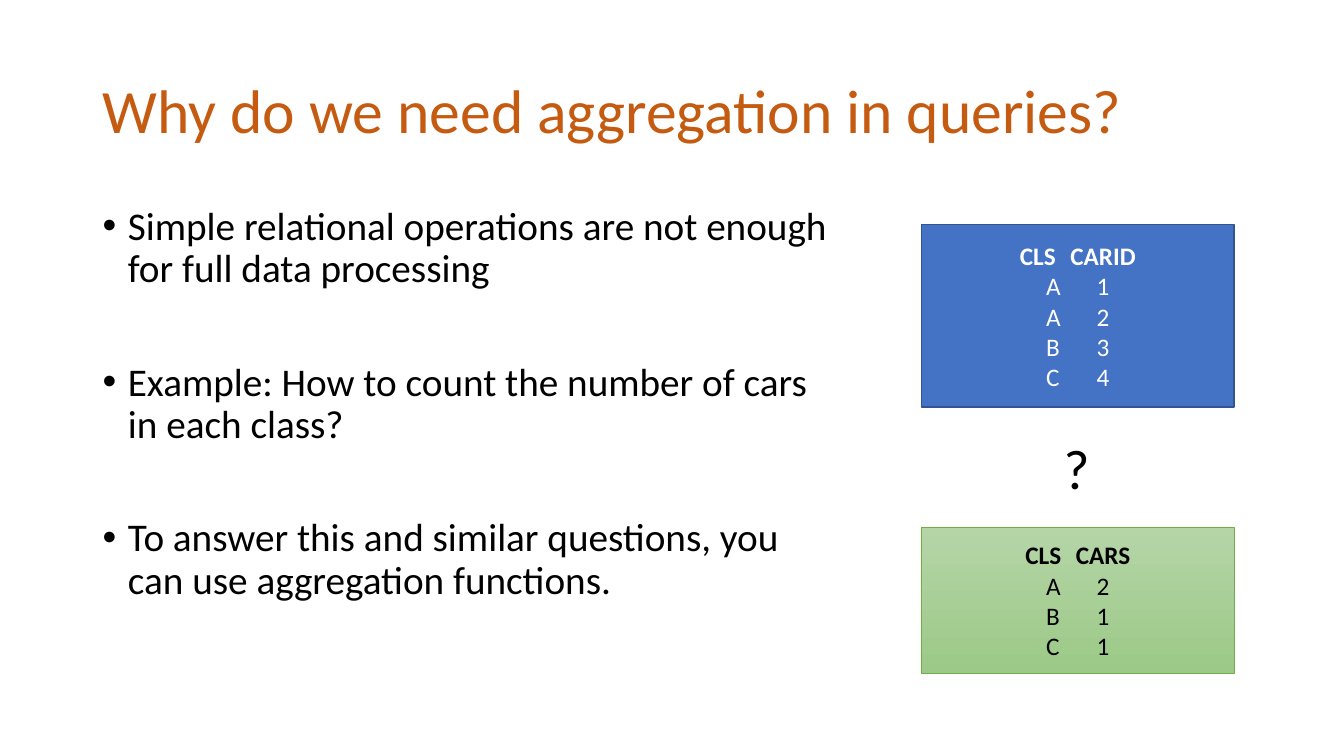
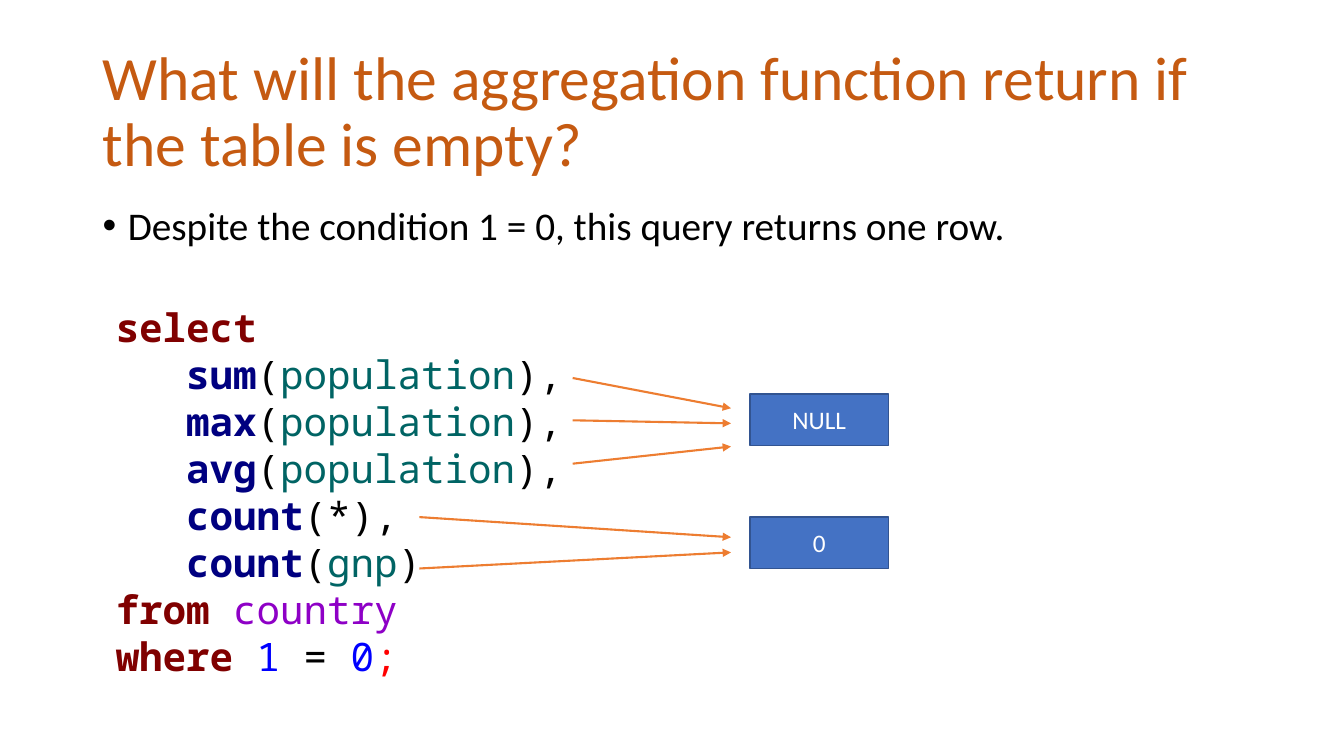
from lxml import etree
from pptx import Presentation
from pptx import util as u
from pptx.dml.color import RGBColor
from pptx.enum import shapes, text
from pptx.oxml.ns import qn

ORANGE, BLUE, NAVY = "C55A11", "4472C4", "325491"
BLACK, WHITE, GREEN, ARROW = "000000", "FFFFFF", "70AD47", "ED7D31"
KEYWORD, FUNCTION, COLUMN = "800000", "000080", "006464"
TABLE, NUMBER, END = "8E00C6", "0000FF", "FF0000"


def rgb(value):
    """Return the colour of a hex string."""
    return RGBColor.from_string(value)


class Deck:
    """Holds the style and the slide being filled."""

    font, code_font = "Calibri", "Noto Sans Mono"

    def __init__(self):
        """Start a wide presentation."""
        self.prs = Presentation()
        self.prs.slide_width, self.prs.slide_height = u.Inches(13.33), u.Inches(7.5)
        self.slide = None

    def style(self, font, size, color, bold=False, name=None):
        """Format one font."""
        font.name, font.size, font.bold = name or self.font, u.Pt(size), bold
        font.color.rgb = rgb(color)

    def new_slide(self, title):
        """Add a slide with its title."""
        self.slide = self.prs.slides.add_slide(self.prs.slide_layouts[5])
        heading = self.slide.shapes.title
        heading.left, heading.top = u.Inches(0.92), u.Inches(0.4)
        heading.width, heading.height = u.Inches(11.5), u.Inches(1.45)
        frame = heading.text_frame
        frame.text = title
        frame.auto_size = text.MSO_AUTO_SIZE.NONE
        frame.vertical_anchor = text.MSO_ANCHOR.MIDDLE
        line = frame.paragraphs[0]
        line.alignment, line.line_spacing = text.PP_ALIGN.LEFT, 0.9
        self.style(line.runs[0].font, 44, ORANGE)

    def text_box(self, left, top, width, height, wrap=False):
        """Add an empty text box and return its frame."""
        box = self.slide.shapes.add_textbox(*map(u.Inches, (left, top, width, height)))
        box.text_frame.word_wrap = wrap
        return box.text_frame

    def bullets(self, width, height, items):
        """Add the bulleted body text."""
        frame = self.text_box(0.92, 2, width, height, wrap=True)
        frame.text = "\n".join(items)
        for index, item in enumerate(frame.paragraphs):
            props = item._p.get_or_add_pPr()
            props.set("marL", str(u.Inches(0.25)))
            props.set("indent", str(-u.Inches(0.25)))
            etree.SubElement(props, qn("a:buFont"), typeface="Arial")
            etree.SubElement(props, qn("a:buChar"), char="•")
            item.line_spacing = 0.9
            if index:
                item.space_before = u.Pt(50.7)
            self.style(item.runs[0].font, 28, BLACK)

    def label(self, left, top, width, height, words, size):
        """Add a single unwrapped line of text."""
        frame = self.text_box(left, top, width, height)
        frame.text = words
        self.style(frame.paragraphs[0].runs[0].font, size, BLACK)

    def code(self, left, top, width, height, lines):
        """Add code whose lines are pairs of text and colour."""
        frame = self.text_box(left, top, width, height)
        for index, parts in enumerate(lines):
            line = frame.add_paragraph() if index else frame.paragraphs[0]
            for words, color in parts:
                run = line.add_run()
                run.text = words
                self.style(run.font, 28, color, color in (KEYWORD, FUNCTION), self.code_font)

    def panel(self, left, top, width, height, lines, header=False, gradient=None):
        """Add a rectangle with centred lines, blue unless a gradient is given."""
        panel = self.slide.shapes.add_shape(
            shapes.MSO_SHAPE.RECTANGLE, *map(u.Inches, (left, top, width, height)))
        panel.shadow.inherit = False
        if gradient:
            panel.fill.gradient()
            panel.fill.gradient_angle = 270
            for stop, color in zip(panel.fill.gradient_stops, gradient):
                stop.color.rgb = rgb(color)
        else:
            panel.fill.solid()
            panel.fill.fore_color.rgb = rgb(BLUE)
        panel.line.color.rgb = rgb(GREEN if gradient else NAVY)
        panel.line.width = u.Pt(0.5 if gradient else 1)
        frame = panel.text_frame
        frame.text = "\n".join(lines)
        frame.vertical_anchor = text.MSO_ANCHOR.MIDDLE
        for index, row in enumerate(frame.paragraphs):
            row.alignment = text.PP_ALIGN.CENTER
            self.style(row.runs[0].font, 18, BLACK if gradient else WHITE,
                       header and index == 0)

    def arrow(self, *ends):
        """Add an arrow given its start and end coordinates."""
        arrow = self.slide.shapes.add_connector(
            shapes.MSO_CONNECTOR.STRAIGHT, *map(u.Inches, ends))
        arrow.line.color.rgb, arrow.line.width = rgb(ARROW), u.Pt(1.5)
        props = arrow._element.spPr
        etree.SubElement(props.find(qn("a:ln")), qn("a:tailEnd"), type="triangle")
        etree.SubElement(props, qn("a:effectLst"))


def main():
    """Build both slides."""
    deck = Deck()

    deck.new_slide("Why do we need aggregation in queries?")
    deck.bullets(7.39, 4.76, [
        "Simple relational operations are not enough for full data processing",
        "Example: How to count the number of cars in each class?",
        "To answer this and similar questions, you can use aggregation functions.",
    ])
    deck.panel(9.14, 2.23, 3.1, 1.81,
               ["CLS\tCARID", "A\t1", "A\t2", "B\t3", "C\t4"], header=True)
    deck.panel(9.14, 5.23, 3.1, 1.45, ["CLS\tCARS", "A\t2", "B\t1", "C\t1"],
               header=True, gradient=("B5D5A7", "9CC987"))
    deck.label(10.45, 4.25, 0.46, 0.77, "?", 40)

    deck.new_slide("What will the aggregation function return if the table is empty?")
    deck.bullets(11.5, 0.81, ["Despite the condition 1 = 0, this query returns one row."])
    sums = [[(f"   {name}", FUNCTION), ("(", BLACK), ("population", COLUMN), ("),", BLACK)]
            for name in ("sum", "max", "avg")]
    deck.code(1.05, 2.96, 4.67, 4.34, [
        [("select", KEYWORD)],
        *sums,
        [("   count", FUNCTION), ("(*),", BLACK)],
        [("   count", FUNCTION), ("(", BLACK), ("gnp", COLUMN), (")", BLACK)],
        [("from ", KEYWORD), ("country", TABLE)],
        [("where ", KEYWORD), ("1", NUMBER), (" = ", BLACK), ("0", NUMBER), (";", END)],
    ])
    for top, result in ((3.91, "NULL"), (5.13, "0")):
        deck.panel(7.44, top, 1.37, 0.51, [result])
    for left, start, end in ((5.68, 3.75, 4.05), (5.68, 4.17, 4.2), (5.68, 4.6, 4.43),
                             (4.16, 5.13, 5.33), (4.16, 5.64, 5.48)):
        deck.arrow(left, start, 7.25, end)

    deck.prs.save("out.pptx")


if __name__ == "__main__":
    main()
